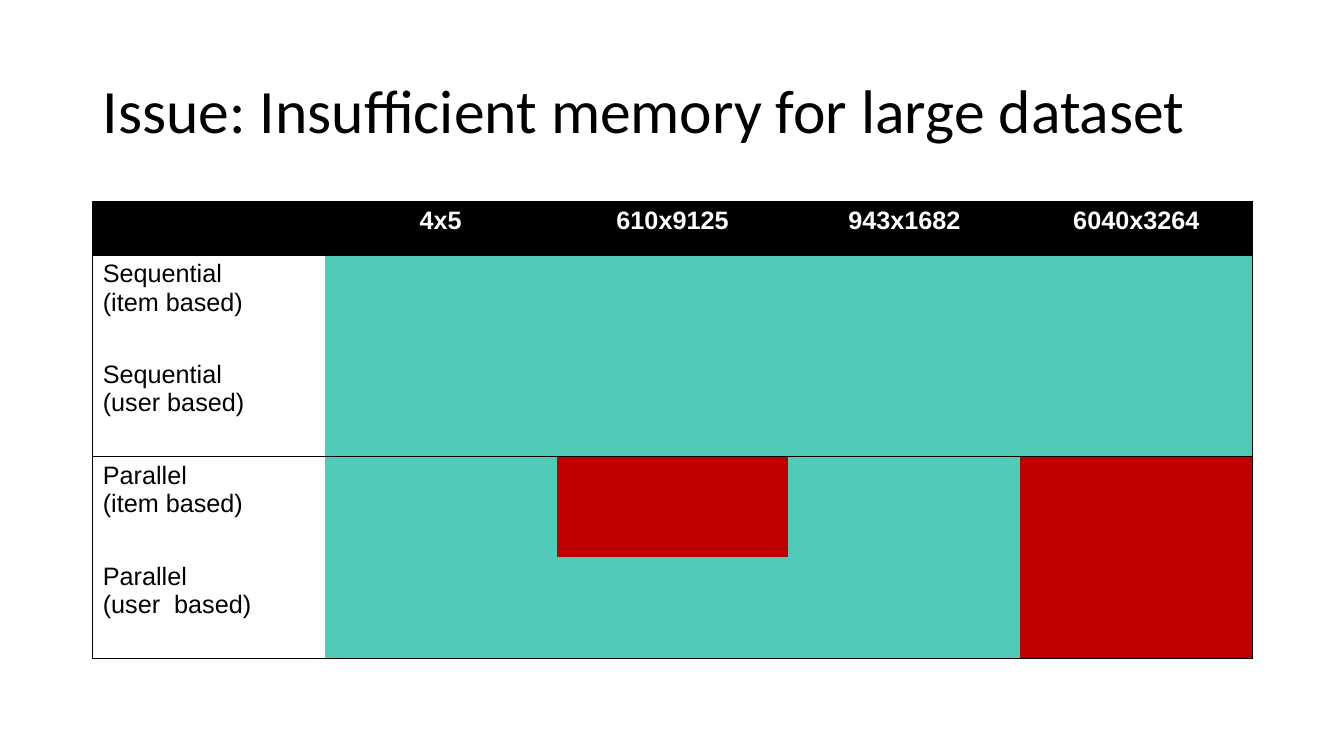
from lxml.etree import SubElement
from pptx import Presentation
from pptx.dml.color import RGBColor
from pptx.enum.text import MSO_ANCHOR, MSO_AUTO_SIZE, PP_ALIGN
from pptx.oxml.ns import qn
from pptx.util import Inches, Pt

BLACK = RGBColor(0x00, 0x00, 0x00)
WHITE = RGBColor(0xFF, 0xFF, 0xFF)
TEAL = RGBColor(0x52, 0xCA, 0xB8)
RED = RGBColor(0xC0, 0x00, 0x00)

DATASETS = ["4x5", "610x9125", "943x1682", "6040x3264"]
METHODS = [
    ("Sequential\n(item based)", []),
    ("Sequential\n(user based)", []),
    ("Parallel\n(item based)", ["610x9125", "6040x3264"]),
    ("Parallel\n(user  based)", ["6040x3264"]),
]
GROUP_TOPS = (0, 1, 3)


def style_paragraph(paragraph, size, font_name, color, bold, alignment):
    paragraph.alignment = alignment
    font = paragraph.font
    font.size = Pt(size)
    font.name = font_name
    font.color.rgb = color
    font.bold = bold


def set_title(slide, text):
    title = slide.shapes.title
    title.left, title.top = Inches(0.92), Inches(0.4)
    title.width, title.height = Inches(11.5), Inches(1.45)
    frame = title.text_frame
    frame.text = text
    frame.word_wrap = True
    frame.auto_size = MSO_AUTO_SIZE.NONE
    frame.vertical_anchor = MSO_ANCHOR.MIDDLE
    paragraph = frame.paragraphs[0]
    paragraph.line_spacing = 0.9
    style_paragraph(paragraph, 44, "Calibri", BLACK, False, PP_ALIGN.LEFT)


def set_borders(cell, visible_sides):
    properties = cell._tc.get_or_add_tcPr()
    for side in "LRTB":
        line = SubElement(properties, qn(f"a:ln{side}"), w=str(Pt(0.75)))
        if side in visible_sides:
            fill = SubElement(line, qn("a:solidFill"))
            SubElement(fill, qn("a:srgbClr"), val=str(BLACK))
        else:
            SubElement(line, qn("a:noFill"))


def outline_groups(table):
    last_row, last_column = len(table.rows) - 1, len(table.columns) - 1
    for row in range(last_row + 1):
        for column in range(last_column + 1):
            sides = {
                "L": column == 0,
                "R": column == last_column,
                "T": row in GROUP_TOPS,
                "B": row == last_row or row + 1 in GROUP_TOPS,
            }
            set_borders(table.cell(row, column), [side for side in sides if sides[side]])


def fill_cell(cell, color=None, text="", text_color=BLACK, bold=False, alignment=PP_ALIGN.LEFT):
    if color is None:
        cell.fill.background()
    else:
        cell.fill.solid()
        cell.fill.fore_color.rgb = color
    cell.text = text
    for paragraph in cell.text_frame.paragraphs:
        style_paragraph(paragraph, 18, "Arial", text_color, bold, alignment)


def add_memory_table(slide):
    frame = slide.shapes.add_table(
        len(METHODS) + 1, len(DATASETS) + 1,
        Inches(0.92), Inches(2), Inches(11.5), Inches(4.53),
    )
    table = frame.table
    table.horz_banding = False
    for column in table.columns:
        column.width = Inches(2.3)
    for index, row in enumerate(table.rows):
        row.height = Inches(1 if index else 0.53)
    outline_groups(table)
    for column, heading in enumerate(["", *DATASETS]):
        fill_cell(table.cell(0, column), BLACK, heading, WHITE, True, PP_ALIGN.CENTER)
    for row, (method, failures) in enumerate(METHODS, start=1):
        fill_cell(table.cell(row, 0), text=method)
        for column, dataset in enumerate(DATASETS, start=1):
            fill_cell(table.cell(row, column), RED if dataset in failures else TEAL)


def main():
    presentation = Presentation()
    presentation.slide_width = Inches(13.33)
    presentation.slide_height = Inches(7.5)
    slide = presentation.slides.add_slide(presentation.slide_layouts[5])
    set_title(slide, "Issue: Insufficient memory for large dataset")
    add_memory_table(slide)
    presentation.save("out.pptx")


if __name__ == "__main__":
    main()
